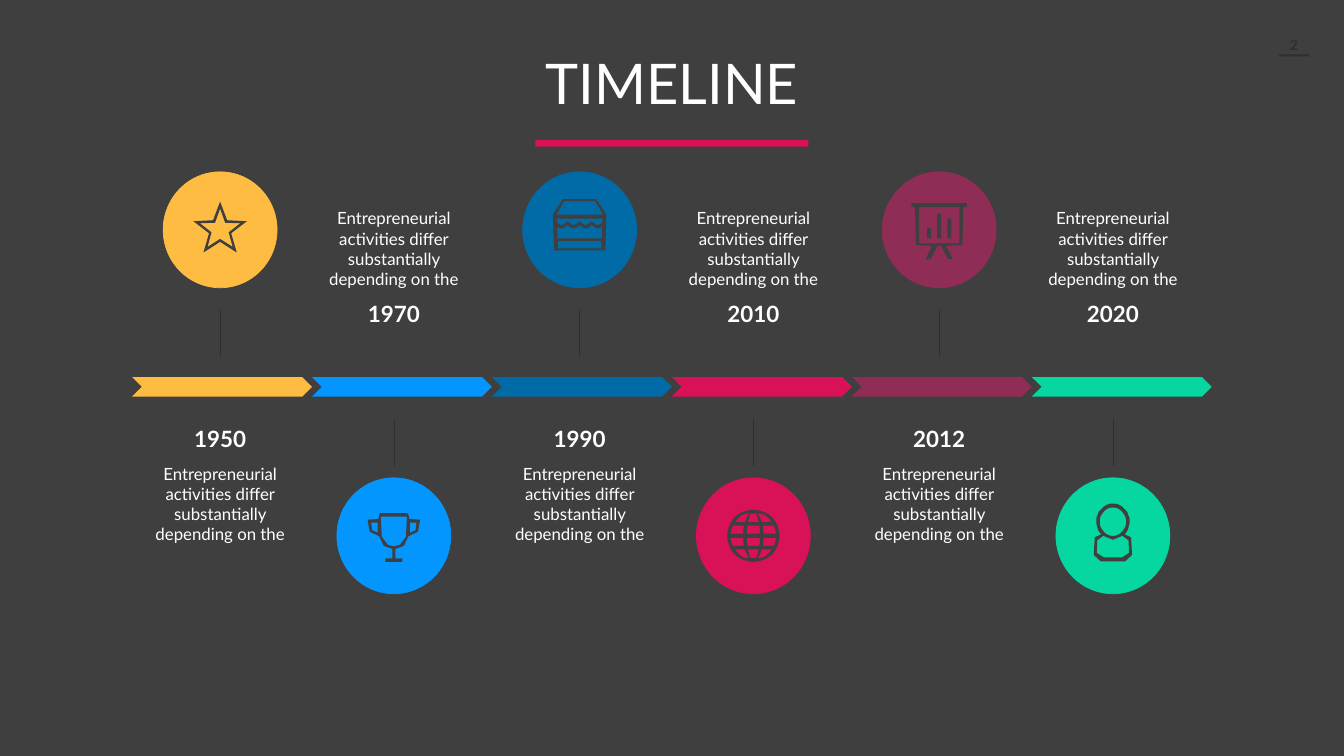
from math import cos, pi, sin, sqrt

from lxml import etree
from pptx import Presentation
from pptx.dml.color import RGBColor
from pptx.enum.shapes import MSO_CONNECTOR, MSO_SHAPE
from pptx.enum.text import MSO_ANCHOR, PP_ALIGN
from pptx.oxml.ns import qn
from pptx.util import Pt

CHEVRON, OVAL, RECTANGLE = MSO_SHAPE.CHEVRON, MSO_SHAPE.OVAL, MSO_SHAPE.RECTANGLE
STRAIGHT, TOP, CENTER = MSO_CONNECTOR.STRAIGHT, MSO_ANCHOR.TOP, PP_ALIGN.CENTER
FONT = "Lato"
COLORS = {
    "background": "3F3F3F", "rule": "2F2F2F", "text": "FFFFFF",
    "yellow": "FFBC42", "sky": "0496FF", "navy": "006BA6",
    "red": "D81159", "plum": "8F2D56", "green": "06D6A0",
}
TITLE = "TIMELINE"
PAGE_NUMBER = "2"
DESCRIPTION = "Entrepreneurial activities differ substantially depending on the"
MILESTONES = [
    ("1950", "yellow", "star"),
    ("1970", "sky", "trophy"),
    ("1990", "navy", "shop"),
    ("2010", "red", "globe"),
    ("2012", "plum", "board"),
    ("2020", "green", "person"),
]
CHEVRON_LEFT, CHEVRON_TOP, CHEVRON_WIDTH, CHEVRON_HEIGHT = 188.6, 538.6, 257, 28
CENTER_STARTS, CENTER_PITCH = (314.4, 562.5), 513.5
CIRCLE_WIDTH, CIRCLE_HEIGHT = 162.7, 165.6
CIRCLE_TOPS, LINE_TOPS, TEXT_TOPS = (245.5, 682.6), (441.4, 598.3), (598.3, 288)
LINE_LENGTH, TEXT_HEIGHT = 67.4, 190
ICON_UNIT = 0.72


def mirror(half):
    return half + [(-x, y) for x, y in reversed(half)]


def arc(center_y, radius_x, radius_y, end=pi / 2, steps=20):
    angles = [-pi / 2 + (end + pi / 2) * step / steps for step in range(steps + 1)]
    return [(radius_x * cos(a), center_y + radius_y * sin(a)) for a in angles]


def bar(left, top, right, bottom):
    return [(left, top), (right, top), (right, bottom), (left, bottom)]


def star_outline(radius):
    radii = (radius, radius * 0.42)
    return [(radii[step % 2] * sin(pi * step / 5), -radii[step % 2] * cos(pi * step / 5))
            for step in range(10)]


def star():
    return [star_outline(56), star_outline(42)]


def trophy():
    handle = [(32, -26), (45, -26), (43, -11), (32, -6)]
    return [
        mirror([(0, -45), (28, -45), (31, -33), (52, -32), (48, -8), (29, 1),
                (20, 20), (3, 26), (3, 45), (17, 45), (17, 52)]),
        mirror([(0, -38), (26, -38), (24, 2), (12, 18), (0, 21)]),
        handle,
        [(-x, y) for x, y in handle],
    ]


def scallops(base):
    return [(x, base + 7 * abs(sin(pi * x / 24))) for x in range(0, 45, 2)]


def shop():
    return [
        mirror([(0, -61), (33, -61), (53, -30), (51, 41)]),
        mirror([(31, -57), (46, -30)]),
        mirror([(46, -22)] + scallops(-17)[::-1]),
        mirror(scallops(-10) + [(44, 17)]),
        bar(-43, 22, 43, 37),
    ]


def globe_cell(top, bottom, left, right, steps=5):
    rows = [top + (bottom - top) * step / steps for step in range(steps + 1)]
    edge = [(y, sqrt(47 ** 2 - y ** 2)) for y in rows]
    return ([(left * width, y) for y, width in edge]
            + [(right * width, y) for y, width in reversed(edge)])


def globe():
    bands = [(-44, -27), (-20, -4), (4, 20), (27, 44)]
    sectors = [(-0.96, -0.44), (-0.28, 0.28), (0.44, 0.96)]
    return [mirror(arc(0, 52, 52))] + [
        globe_cell(*band, *sector) for band in bands for sector in sectors]


def board():
    return [
        mirror([(0, -53), (55, -53), (55, -45), (48, -45), (46, 30), (14, 32),
                (27, 58), (17, 58), (4, 32)]),
        bar(-40, -45, 40, 27),
    ] + [bar(x - 4, top, x + 4, 17) for x, top in [(-20, -4), (0, -32), (20, -22)]]


def person():
    return [
        mirror(arc(-28, 33, 36, end=pi / 4) + [(36, 3), (38, 38), (24, 51)]),
        mirror(arc(-28, 26, 28)),
        mirror([(0, 8), (19, 0), (31, 9), (32, 34), (18, 43)]),
    ]


ICONS = {"star": star, "trophy": trophy, "shop": shop,
         "globe": globe, "board": board, "person": person}


def color(name):
    return RGBColor.from_string(COLORS[name])


def style(shape, fill, outline=None):
    shape.shadow.inherit = False
    shape.fill.solid()
    shape.fill.fore_color.rgb = color(fill)
    if outline:
        shape.line.color.rgb = color(outline)
        shape.line.width = Pt(1)
    else:
        shape.line.fill.background()


def add_preset(page, kind, left, top, width, height, fill, outline=None):
    shape = page.shapes.add_shape(kind, Pt(left), Pt(top), Pt(width), Pt(height))
    style(shape, fill, outline)


def write(para, text, size, fill="text", bold=False):
    para.alignment = CENTER
    span = para.add_run()
    span.text = text
    span.font.name, span.font.size, span.font.bold = FONT, Pt(size), bold
    span.font.color.rgb = color(fill)


def add_text(page, left, top, width, height, entries, inset=(0, 0), fill="text"):
    box = page.shapes.add_textbox(Pt(left), Pt(top), Pt(width), Pt(height))
    frame = box.text_frame
    frame.word_wrap = True
    frame.margin_left = frame.margin_right = Pt(inset[0])
    frame.margin_top = frame.margin_bottom = Pt(inset[1])
    for index, (text, size, bold) in enumerate(entries):
        para = frame.add_paragraph() if index else frame.paragraphs[0]
        if index:
            para.space_before = Pt(15.6)
        write(para, text, size, fill, bold)


def add_icon(page, name, center_x, center_y):
    first, *others = ICONS[name]()
    builder = page.shapes.build_freeform(*first[0], scale=Pt(ICON_UNIT))
    builder.add_line_segments(first[1:], close=True)
    for contour in others:
        builder.move_to(*contour[0])
        builder.add_line_segments(contour[1:], close=True)
    style(builder.convert_to_shape(Pt(center_x), Pt(center_y)), "background")


def add_milestone(page, index, year, fill, icon):
    column, side = divmod(index, 2)
    center = CENTER_STARTS[side] + column * CENTER_PITCH
    add_preset(page, CHEVRON, CHEVRON_LEFT + index * CHEVRON_WIDTH, CHEVRON_TOP,
               CHEVRON_WIDTH, CHEVRON_HEIGHT, fill)
    line_top = LINE_TOPS[side]
    line = page.shapes.add_connector(STRAIGHT, Pt(center), Pt(line_top + LINE_LENGTH),
                                     Pt(center), Pt(line_top))
    line.line.color.rgb = color("rule")
    line.line.width = Pt(0.75)
    etree.SubElement(line._element.spPr, qn("a:effectLst"))
    entries = [(year, 32, True), (DESCRIPTION, 24, False)]
    add_text(page, center - CHEVRON_WIDTH / 2, TEXT_TOPS[side], CHEVRON_WIDTH, TEXT_HEIGHT,
             entries[::-1] if side else entries, inset=(19.4, 9.4))
    circle_top = CIRCLE_TOPS[side]
    add_preset(page, OVAL, center - CIRCLE_WIDTH / 2, circle_top,
               CIRCLE_WIDTH, CIRCLE_HEIGHT, fill, outline=fill)
    add_icon(page, icon, center, circle_top + CIRCLE_HEIGHT / 2)


def main():
    deck = Presentation()
    deck.slide_width, deck.slide_height = Pt(1919.5), Pt(1080)
    page = deck.slides.add_slide(deck.slide_layouts[5])
    page.background.fill.solid()
    page.background.fill.fore_color.rgb = color("background")
    title = page.shapes.title
    title.left, title.top, title.width, title.height = Pt(684.7), Pt(77), Pt(550), Pt(94.3)
    title.text_frame.vertical_anchor = TOP
    heading = title.text_frame.paragraphs[0]
    heading.line_spacing = 0.9
    write(heading, TITLE, 80)
    add_preset(page, RECTANGLE, 764.6, 200, 390, 9.4, "red")
    add_preset(page, RECTANGLE, 1826.6, 77.8, 43.2, 2.9, "rule")
    add_text(page, 1826.6, 52, 43.2, 24, [(PAGE_NUMBER, 20, True)], fill="rule")
    for index, milestone in enumerate(MILESTONES):
        add_milestone(page, index, *milestone)
    deck.save("out.pptx")


if __name__ == "__main__":
    main()
